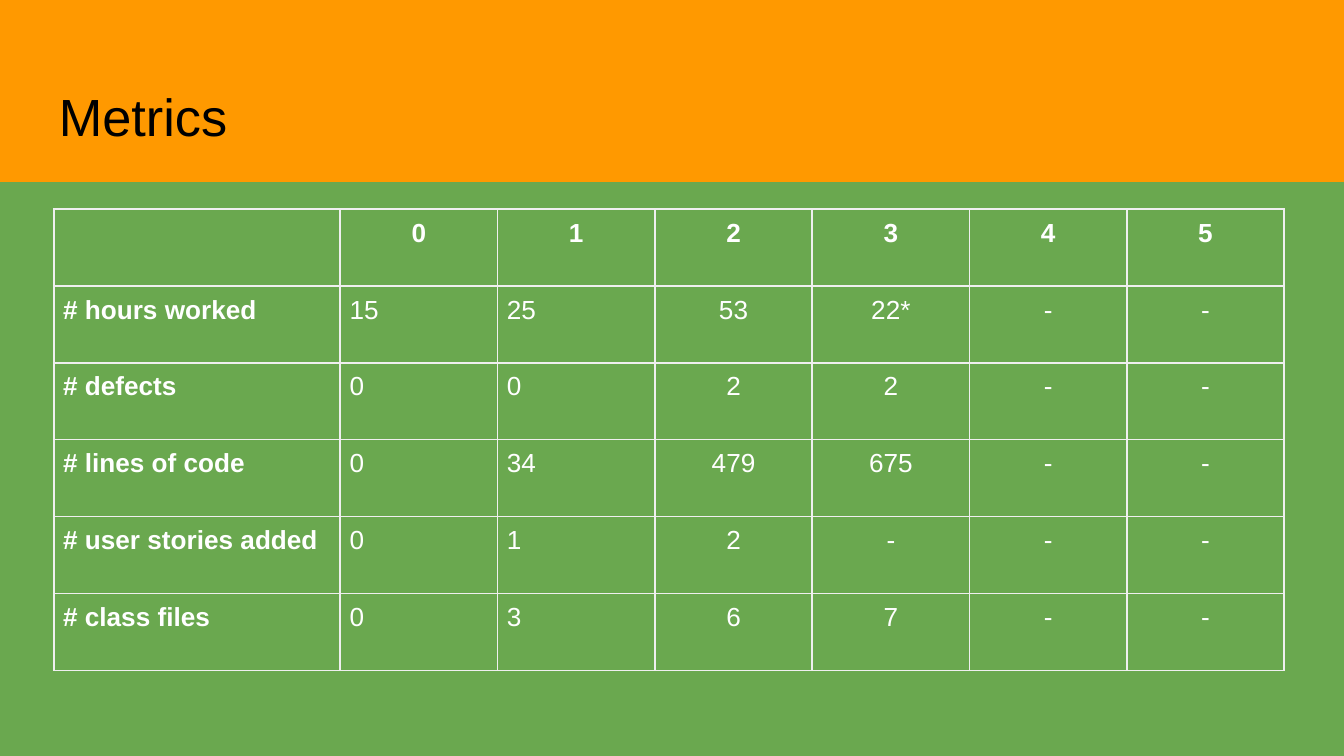
"""Build a slide with a table of project metrics per iteration."""
from dataclasses import dataclass

from lxml import etree
from pptx import Presentation
from pptx.dml.color import RGBColor
from pptx.enum import shapes, text
from pptx.oxml import ns
from pptx.util import Pt

GREEN = RGBColor(0x6A, 0xA8, 0x4F)
ORANGE = RGBColor(0xFF, 0x99, 0x00)
BLACK = RGBColor(0x00, 0x00, 0x00)
WHITE = RGBColor(0xFF, 0xFF, 0xFF)
BORDER = RGBColor(0xEF, 0xEF, 0xEF)

FONT = "Arial"
SLIDE_WIDTH, SLIDE_HEIGHT = 720, 405
BAND_HEIGHT = 97.5
TABLE_LEFT, TABLE_TOP = 28.8, 112
LABEL_WIDTH, VALUE_WIDTH, ROW_HEIGHT = 153.5, 84.3, 41.2
CELL_MARGIN = 5
LEFT_ALIGNED_COLUMNS = (0, 1, 2)


@dataclass(frozen=True)
class MetricRow:
    label: str
    values: tuple[str, ...]
    is_header: bool = False


ROWS = (
    MetricRow("", ("0", "1", "2", "3", "4", "5"), is_header=True),
    MetricRow("# hours worked", ("15", "25", "53", "22*", "-", "-")),
    MetricRow("# defects", ("0", "0", "2", "2", "-", "-")),
    MetricRow("# lines of code", ("0", "34", "479", "675", "-", "-")),
    MetricRow("# user stories added", ("0", "1", "2", "-", "-", "-")),
    MetricRow("# class files", ("0", "3", "6", "7", "-", "-")),
)


def format_runs(paragraph, size: float, color: RGBColor, bold: bool = False) -> None:
    for run in paragraph.runs:
        run.font.name = FONT
        run.font.size = Pt(size)
        run.font.bold = bold
        run.font.color.rgb = color


def add_band(slide) -> None:
    band = slide.shapes.add_shape(
        shapes.MSO_SHAPE.RECTANGLE, 0, 0, Pt(SLIDE_WIDTH), Pt(BAND_HEIGHT)
    )
    band.shadow.inherit = False
    band.fill.solid()
    band.fill.fore_color.rgb = ORANGE
    band.line.fill.background()


def add_title(slide, title: str) -> None:
    shape = slide.shapes.add_textbox(Pt(24.5), Pt(35), Pt(671), Pt(45.5))
    frame = shape.text_frame
    frame.word_wrap = True
    frame.margin_left = frame.margin_right = Pt(7.2)
    frame.margin_top, frame.margin_bottom = Pt(10), 0
    frame.text = title
    format_runs(frame.paragraphs[0], 28, BLACK)


def add_borders(cell) -> None:
    properties = cell._tc.get_or_add_tcPr()
    for position, side in enumerate(("lnL", "lnR", "lnT", "lnB")):
        line = etree.Element(ns.qn(f"a:{side}"), w=str(Pt(1)))
        fill = etree.SubElement(line, ns.qn("a:solidFill"))
        etree.SubElement(fill, ns.qn("a:srgbClr"), val=str(BORDER))
        properties.insert(position, line)


def fill_cell(cell, content: str, bold: bool, centered: bool) -> None:
    cell.margin_left = cell.margin_right = Pt(CELL_MARGIN)
    cell.margin_top = cell.margin_bottom = Pt(CELL_MARGIN)
    cell.fill.background()
    add_borders(cell)
    cell.text_frame.text = content
    paragraph = cell.text_frame.paragraphs[0]
    paragraph.alignment = text.PP_ALIGN.CENTER if centered else text.PP_ALIGN.LEFT
    format_runs(paragraph, 14, WHITE, bold)


def add_metrics_table(slide, rows: tuple[MetricRow, ...]) -> None:
    value_count = len(rows[0].values)
    table = slide.shapes.add_table(
        len(rows), value_count + 1, Pt(TABLE_LEFT), Pt(TABLE_TOP),
        Pt(LABEL_WIDTH + value_count * VALUE_WIDTH), Pt(len(rows) * ROW_HEIGHT),
    ).table
    table.first_row = table.horz_banding = False
    for index, column in enumerate(table.columns):
        column.width = Pt(VALUE_WIDTH if index else LABEL_WIDTH)
    for row, table_row in zip(rows, table.rows):
        table_row.height = Pt(ROW_HEIGHT)
        for index, content in enumerate((row.label, *row.values)):
            bold = row.is_header or index == 0
            centered = row.is_header or index not in LEFT_ALIGNED_COLUMNS
            fill_cell(table_row.cells[index], content, bold, centered)


def main() -> None:
    presentation = Presentation()
    presentation.slide_width = Pt(SLIDE_WIDTH)
    presentation.slide_height = Pt(SLIDE_HEIGHT)
    slide = presentation.slides.add_slide(presentation.slide_layouts[6])
    slide.background.fill.solid()
    slide.background.fill.fore_color.rgb = GREEN
    add_band(slide)
    add_title(slide, "Metrics")
    add_metrics_table(slide, ROWS)
    presentation.save("out.pptx")


if __name__ == "__main__":
    main()
